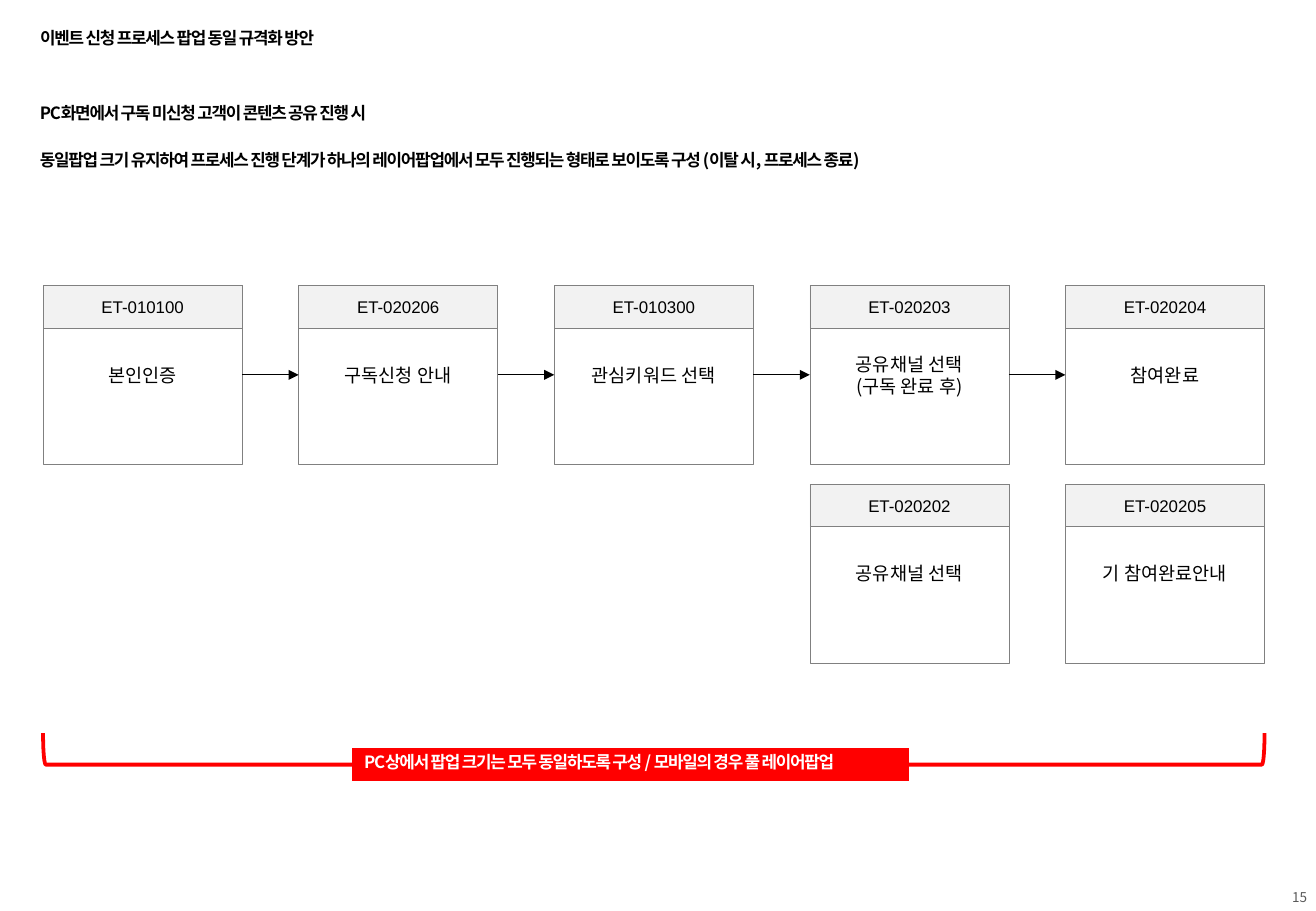
from dataclasses import dataclass

from lxml.etree import SubElement
from pptx import Presentation
from pptx.dml.color import RGBColor
from pptx.enum.shapes import MSO_CONNECTOR as Connector, MSO_SHAPE as Preset
from pptx.enum.text import MSO_ANCHOR as Anchor, MSO_AUTO_SIZE as AutoSize, PP_ALIGN as Align
from pptx.oxml.ns import qn
from pptx.util import Pt

BLACK = RGBColor(0x00, 0x00, 0x00)
WHITE = RGBColor(0xFF, 0xFF, 0xFF)
RED = RGBColor(0xFF, 0x00, 0x00)
BORDER_GRAY = RGBColor(0x80, 0x80, 0x80)
HEADER_GRAY = RGBColor(0xF2, 0xF2, 0xF2)
NUMBER_GRAY = RGBColor(0x59, 0x59, 0x59)
KOREAN_FONT = "Noto Sans CJK KR"
CODE_FONT = "Arial"

# Card grid, in points
GRID_LEFT, GRID_TOP = 25.5, 169.2
COLUMN_STEP, ROW_STEP = 151.5, 117.8
CARD_WIDTH, CARD_HEIGHT, HEADER_HEIGHT = 118, 106, 25.2
COLUMNS = 5


@dataclass
class Card:
    column: int
    row: int
    code: str
    label: str

    @property
    def left(self) -> float:
        return GRID_LEFT + self.column * COLUMN_STEP

    @property
    def top(self) -> float:
        return GRID_TOP + self.row * ROW_STEP


@dataclass
class Heading:
    top: float
    width: float
    text: str


CARDS = [
    Card(0, 0, "ET-010100", "본인인증"),
    Card(1, 0, "ET-020206", "구독신청 안내"),
    Card(2, 0, "ET-010300", "관심키워드 선택"),
    Card(3, 0, "ET-020203", "공유채널 선택\n(구독 완료 후)"),
    Card(4, 0, "ET-020204", "참여완료"),
    Card(3, 1, "ET-020202", "공유채널 선택"),
    Card(4, 1, "ET-020205", "기 참여완료안내"),
]
TITLE = Heading(14.4, 201, "이벤트 신청 프로세스 팝업 동일 규격화 방안")
DESCRIPTIONS = [
    Heading(59, 233, "PC화면에서 구독 미신청 고객이 콘텐츠 공유 진행 시"),
    Heading(87, 562, "동일팝업 크기 유지하여 프로세스 진행 단계가 하나의 레이어팝업에서 "
                     "모두 진행되는 형태로 보이도록 구성 (이탈 시, 프로세스 종료)"),
]
HEADING_LEFT, HEADING_HEIGHT = 16.6, 19.4
HEADING_STYLE = dict(bold=True, tracking=-70, space_before=5)
BAR_TEXT = "PC상에서 팝업 크기는 모두 동일하도록 구성 / 모바일의 경우 풀 레이어팝업"


def write_text(shape, text: str, *, size=10, font=KOREAN_FONT, color=BLACK, bold=False,
               align=Align.LEFT, anchor=Anchor.TOP, tracking=0, space_before=0,
               line_spacing=None) -> None:
    frame = shape.text_frame
    frame.word_wrap = True
    frame.auto_size = AutoSize.NONE
    frame.vertical_anchor = anchor
    frame.margin_left = frame.margin_right = Pt(7.2)
    frame.margin_top = frame.margin_bottom = Pt(1.8)
    frame.text = text
    for paragraph in frame.paragraphs:
        paragraph.alignment = align
        paragraph.space_before = Pt(space_before)
        paragraph.line_spacing = line_spacing
        for run in paragraph.runs:
            run.font.size = Pt(size)
            run.font.bold = bold
            run.font.color.rgb = color
            run.font.name = font
            properties = run.font._element
            SubElement(properties, qn("a:ea"), typeface=font)
            if tracking:
                properties.set("spc", str(tracking))


def add_text(slide, left: float, top: float, width: float, height: float, text: str, **style):
    box = slide.shapes.add_textbox(Pt(left), Pt(top), Pt(width), Pt(height))
    write_text(box, text, **style)
    return box


def add_box(slide, left: float, top: float, width: float, height: float, fill: RGBColor,
            line: RGBColor | None, text: str, **style):
    box = slide.shapes.add_shape(Preset.RECTANGLE, Pt(left), Pt(top), Pt(width), Pt(height))
    box.shadow.inherit = False
    box.fill.solid()
    box.fill.fore_color.rgb = fill
    if line is None:
        box.line.fill.background()
    else:
        box.line.color.rgb = line
        box.line.width = Pt(0.25)
    write_text(box, text, **style)
    return box


def add_arrow(slide, start, end) -> None:
    arrow = slide.shapes.add_connector(Connector.STRAIGHT, 0, 0, 0, 0)
    arrow.begin_connect(start, 3)
    arrow.end_connect(end, 1)
    arrow.line.color.rgb = BLACK
    arrow.line.width = Pt(0.5)
    SubElement(arrow.line._get_or_add_ln(), qn("a:tailEnd"), type="triangle")
    SubElement(arrow._element.spPr, qn("a:effectLst"))


def add_bracket(slide) -> None:
    """Draw a right bracket turned to lie under the whole card grid."""
    span = (COLUMNS - 1) * COLUMN_STEP + CARD_WIDTH
    depth, middle = 18.7, 443.9
    bracket = slide.shapes.add_shape(
        Preset.RIGHT_BRACKET, Pt(GRID_LEFT + (span - depth) / 2), Pt(middle - span / 2),
        Pt(depth), Pt(span))
    bracket.rotation = 90
    bracket.shadow.inherit = False
    bracket.fill.background()
    bracket.line.color.rgb = RED
    bracket.line.width = Pt(2.25)


def main() -> None:
    presentation = Presentation()
    presentation.slide_width, presentation.slide_height = Pt(780), Pt(540)
    slide = presentation.slides.add_slide(presentation.slide_layouts[5])

    # Title and description
    title = slide.shapes.title
    title.left, title.top = Pt(HEADING_LEFT), Pt(TITLE.top)
    title.width, title.height = Pt(TITLE.width), Pt(HEADING_HEIGHT)
    write_text(title, TITLE.text, **HEADING_STYLE)
    for heading in DESCRIPTIONS:
        add_text(slide, HEADING_LEFT, heading.top, heading.width, HEADING_HEIGHT,
                 heading.text, **HEADING_STYLE)

    # Process cards
    centered = dict(align=Align.CENTER, anchor=Anchor.MIDDLE)
    bodies = []
    for card in CARDS:
        bodies.append(add_box(slide, card.left, card.top, CARD_WIDTH, CARD_HEIGHT, WHITE,
                              BORDER_GRAY, card.label, size=11, line_spacing=Pt(13),
                              **centered))
        add_box(slide, card.left, card.top, CARD_WIDTH, HEADER_HEIGHT, HEADER_GRAY,
                BORDER_GRAY, card.code, font=CODE_FONT, **centered)

    # Arrows along the first row
    first_row = bodies[:COLUMNS]
    for start, end in zip(first_row, first_row[1:]):
        add_arrow(slide, start, end)

    # Bracket with its note
    add_bracket(slide)
    add_box(slide, 208.8, 443.5, 330, HEADING_HEIGHT, RED, None, BAR_TEXT,
            color=WHITE, **HEADING_STYLE)

    # Page number
    add_text(slide, 727.2, 523.4, 54.7, 17.3, "15", size=8, color=NUMBER_GRAY,
             align=Align.RIGHT, anchor=Anchor.MIDDLE)

    presentation.save("out.pptx")


if __name__ == "__main__":
    main()
